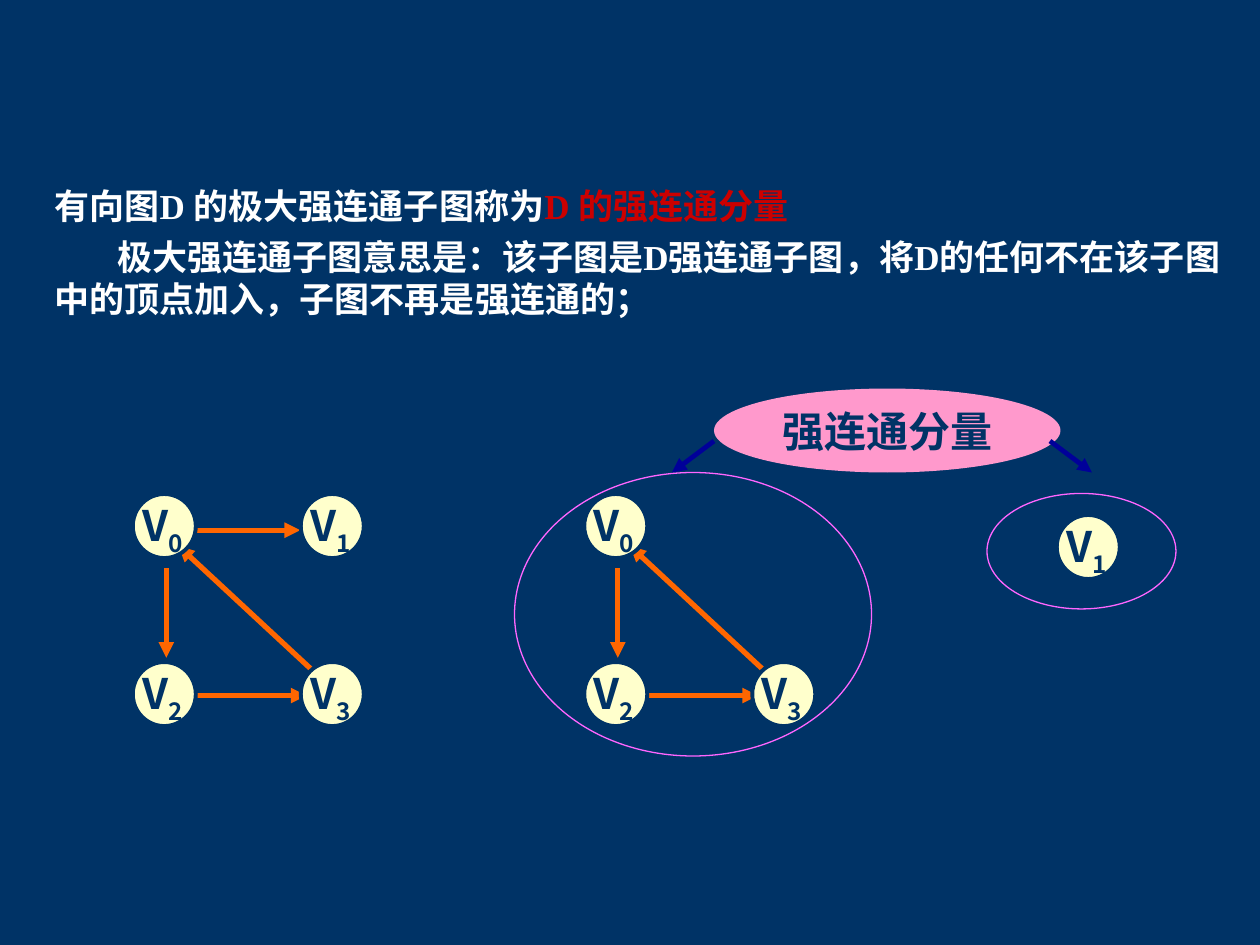
from typing import NamedTuple

from lxml.etree import SubElement
from pptx import Presentation
from pptx.dml.color import RGBColor
from pptx.enum.shapes import MSO_CONNECTOR, MSO_SHAPE
from pptx.enum.text import MSO_ANCHOR, PP_ALIGN
from pptx.oxml.ns import qn
from pptx.util import Inches, Length, Pt

NAVY = RGBColor(0x00, 0x33, 0x66)
WHITE = RGBColor(0xFF, 0xFF, 0xFF)
RED = RGBColor(0xCC, 0x00, 0x00)
PINK = RGBColor(0xFF, 0x99, 0xCC)
MAGENTA = RGBColor(0xFF, 0x66, 0xFF)
BLUE = RGBColor(0x00, 0x00, 0x99)
ORANGE = RGBColor(0xFF, 0x66, 0x00)
CREAM = RGBColor(0xFF, 0xFF, 0xCC)

SERIF = "Times New Roman"
SANS = "Noto Sans CJK SC"
CELLS_PER_INCH = 12
VERTEX_STEP = 16


class Point(NamedTuple):
    col: float
    row: float

    def shifted(self, offset: "Point") -> "Point":
        return Point(self.col + offset.col, self.row + offset.row)


class Box(NamedTuple):
    col: float
    row: float
    cols: float
    rows: float


class Edge(NamedTuple):
    start: Point
    end: Point


class Graph(NamedTuple):
    origin: Point
    vertices: dict[str, Point]
    edges: list[Edge]


V0, V1 = Point(0, 0), Point(VERTEX_STEP, 0)
V2, V3 = Point(0, VERTEX_STEP), Point(VERTEX_STEP, VERTEX_STEP)

EDGE_0_2 = Edge(Point(3.84, 7.1), Point(3.84, 15.65))
EDGE_2_3 = Edge(Point(6.7, 19.25), Point(17.2, 19.25))
EDGE_0_1 = Edge(Point(6.7, 3.5), Point(16.6, 3.5))
EDGE_3_0 = Edge(Point(19, 18), Point(5, 5))

GRAPHS = [
    Graph(Point(12, 47), {"0": V0, "1": V1, "2": V2, "3": V3},
          [EDGE_0_2, EDGE_2_3, EDGE_0_1, EDGE_3_0]),
    Graph(Point(55, 47), {"0": V0, "2": V2, "3": V3},
          [EDGE_0_2, EDGE_2_3, EDGE_3_0]),
    Graph(Point(100, 49), {"1": V0}, []),
]
COMPONENT_LABEL = Box(68, 37, 33, 8)
COMPONENT_RINGS = [Box(49, 45, 34, 27), Box(94, 47, 18, 11)]
COMPONENT_POINTERS = [Edge(Point(68, 42), Point(64, 45)),
                      Edge(Point(100, 42), Point(104, 45))]


def cells(count: float) -> Length:
    return Inches(count / CELLS_PER_INCH)


def set_font(paragraph, face: str, size: float, color: RGBColor) -> None:
    font = paragraph.font
    font.size = Pt(size)
    font.bold = True
    font.color.rgb = color
    font.name = face
    SubElement(font._element, qn("a:ea")).set("typeface", SANS)


def add_ellipse(slide, box: Box, fill: RGBColor | None = None,
                outline: RGBColor | None = None, width: float = 0.75):
    ellipse = slide.shapes.add_shape(MSO_SHAPE.OVAL, *map(cells, box))
    ellipse.shadow.inherit = False
    if fill is None:
        ellipse.fill.background()
    else:
        ellipse.fill.solid()
        ellipse.fill.fore_color.rgb = fill
    if outline is None:
        ellipse.line.fill.background()
    else:
        ellipse.line.color.rgb = outline
        ellipse.line.width = Pt(width)
    return ellipse


def add_arrow(slide, edge: Edge, color: RGBColor, width: float) -> None:
    arrow = slide.shapes.add_connector(
        MSO_CONNECTOR.STRAIGHT, *map(cells, edge.start), *map(cells, edge.end))
    arrow.line.color.rgb = color
    arrow.line.width = Pt(width)
    SubElement(arrow.line._get_or_add_ln(), qn("a:tailEnd")).set("type", "triangle")
    SubElement(arrow._element.spPr, qn("a:effectLst"))


def add_vertex(slide, corner: Point, index: str) -> None:
    add_ellipse(slide, Box(corner.col + 0.65, corner.row + 0.05, 6, 6.1),
                CREAM, NAVY, 2.25)
    caption = slide.shapes.add_textbox(*map(cells, Box(*corner, 8.5, 6.7))).text_frame
    caption.word_wrap = True
    caption.margin_left = Inches(0.13)
    paragraph = caption.paragraphs[0]
    set_font(paragraph, SANS, 24, NAVY)
    paragraph.add_run().text = "V"
    subscript = paragraph.add_run()
    subscript.text = index
    subscript.font._element.set("baseline", "-25000")


def add_graph(slide, graph: Graph) -> None:
    for edge in graph.edges:
        add_arrow(slide, Edge(edge.start.shifted(graph.origin),
                              edge.end.shifted(graph.origin)), ORANGE, 3)
    for index, place in graph.vertices.items():
        add_vertex(slide, place.shifted(graph.origin), index)


def add_definition(slide) -> None:
    definition = slide.shapes.add_textbox(*map(cells, Box(4, 17, 115, 14))).text_frame
    definition.word_wrap = True
    term = definition.paragraphs[0]
    set_font(term, SERIF, 20, WHITE)
    term.add_run().text = "有向图D 的极大强连通子图称为"
    highlight = term.add_run()
    highlight.text = "D 的强连通分量"
    highlight.font.color.rgb = RED

    meaning = definition.add_paragraph()
    meaning.space_before = Pt(5)
    meaning._p.get_or_add_pPr().set("indent", str(Inches(0.5)))
    set_font(meaning, SERIF, 20, WHITE)
    meaning.add_run().text = ("极大强连通子图意思是：该子图是D强连通子图，"
                              "将D的任何不在该子图中的顶点加入，子图不再是强连通的；")


def add_component_label(slide) -> None:
    label = add_ellipse(slide, COMPONENT_LABEL, PINK).text_frame
    label.word_wrap = False
    label.vertical_anchor = MSO_ANCHOR.MIDDLE
    paragraph = label.paragraphs[0]
    paragraph.alignment = PP_ALIGN.CENTER
    set_font(paragraph, SERIF, 24, NAVY)
    paragraph.add_run().text = "强连通分量"


def main() -> None:
    presentation = Presentation()
    presentation.slide_width = Inches(10)
    presentation.slide_height = Inches(7.5)
    slide = presentation.slides.add_slide(presentation.slide_layouts[6])
    slide.background.fill.solid()
    slide.background.fill.fore_color.rgb = NAVY

    add_definition(slide)
    add_component_label(slide)
    for pointer in COMPONENT_POINTERS:
        add_arrow(slide, pointer, BLUE, 2.75)
    for graph in GRAPHS:
        add_graph(slide, graph)
    for ring in COMPONENT_RINGS:
        add_ellipse(slide, ring, outline=MAGENTA)
    presentation.save("out.pptx")


if __name__ == "__main__":
    main()
